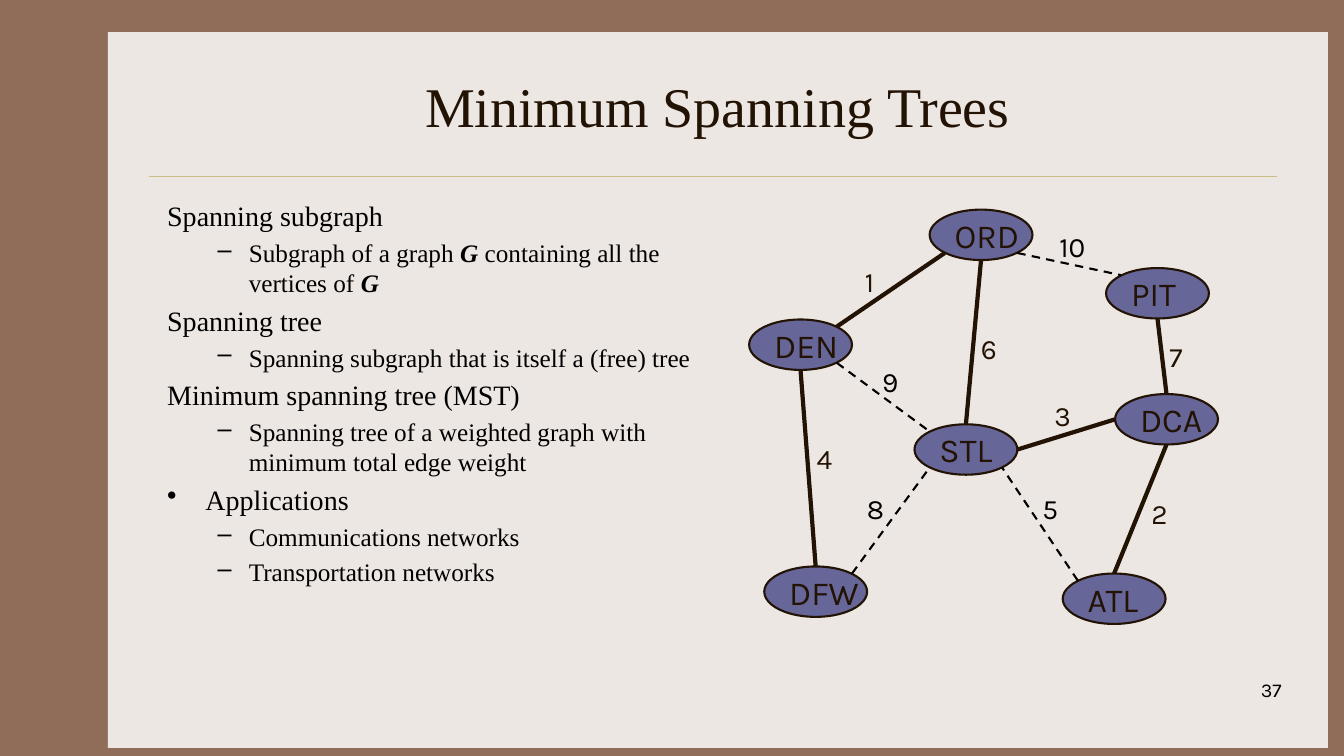
from dataclasses import dataclass
from math import sqrt
from typing import Any

from lxml import etree
from pptx import Presentation
from pptx.dml.color import RGBColor
from pptx.enum.dml import MSO_LINE
from pptx.enum.shapes import MSO_CONNECTOR, MSO_SHAPE
from pptx.enum.text import MSO_ANCHOR, MSO_AUTO_SIZE, PP_ALIGN
from pptx.oxml.ns import qn
from pptx.util import Pt

PX = 9144
STRAIGHT = MSO_CONNECTOR.STRAIGHT
DASH = MSO_LINE.DASH
RECT, OVAL = MSO_SHAPE.RECTANGLE, MSO_SHAPE.OVAL
TOP, MIDDLE = MSO_ANCHOR.TOP, MSO_ANCHOR.MIDDLE
LEFT, CENTER, RIGHT = PP_ALIGN.LEFT, PP_ALIGN.CENTER, PP_ALIGN.RIGHT
FIT, FIXED = MSO_AUTO_SIZE.SHAPE_TO_FIT_TEXT, MSO_AUTO_SIZE.NONE

BROWN = RGBColor(0x90, 0x6D, 0x58)
CREAM = RGBColor(0xED, 0xE7, 0xE3)
GOLD = RGBColor(0xCB, 0xBD, 0x83)
DARK = RGBColor(0x22, 0x13, 0x04)
BLACK = RGBColor(0, 0, 0)
VIOLET = RGBColor(0x66, 0x66, 0x99)
SERIF, SANS = "Times New Roman", "Karla"

NODE_W, NODE_H = 102, 50
DIAG = sqrt(0.5)
SITES = {
    "N": (0, -1), "S": (0, 1), "W": (-1, 0), "E": (1, 0),
    "NW": (-DIAG, -DIAG), "NE": (DIAG, -DIAG),
    "SW": (-DIAG, DIAG), "SE": (DIAG, DIAG),
}


@dataclass
class Node:
    name: str
    left: int
    top: int

    def site(self, side: str) -> tuple[int, int]:
        dx, dy = SITES[side]
        return (round(self.left + NODE_W / 2 * (1 + dx)),
                round(self.top + NODE_H / 2 * (1 + dy)))


@dataclass
class Edge:
    weight: int
    start: str
    out: str
    end: str
    into: str
    left: int
    top: int
    tree: bool = True


@dataclass
class Item:
    text: str
    level: int = 0
    mark: str = ""


NODES = [
    Node("ORD", 922, 208), Node("PIT", 1097, 266), Node("ATL", 1054, 569),
    Node("STL", 907, 421), Node("DEN", 743, 317), Node("DFW", 758, 562),
    Node("DCA", 1106, 391),
]
EDGES = [
    Edge(1, "DEN", "NE", "ORD", "SW", 848, 257),
    Edge(6, "STL", "N", "ORD", "S", 963, 324),
    Edge(3, "STL", "E", "DCA", "W", 1036, 390),
    Edge(7, "DCA", "N", "PIT", "S", 1150, 332),
    Edge(10, "ORD", "SE", "PIT", "NW", 1041, 223, False),
    Edge(4, "DEN", "S", "DFW", "N", 800, 433),
    Edge(2, "DCA", "S", "ATL", "N", 1132, 488),
    Edge(5, "ATL", "NW", "STL", "SE", 1024, 483, False),
    Edge(8, "DFW", "NE", "STL", "SW", 850, 483, False),
    Edge(9, "DEN", "SE", "STL", "NW", 865, 357, False),
]
ITEMS = [
    Item("Spanning subgraph"),
    Item("Subgraph of a graph *G* containing all the vertices of *G*", 1, "–"),
    Item("Spanning tree"),
    Item("Spanning subgraph that is itself a (free) tree", 1, "–"),
    Item("Minimum spanning tree (MST)"),
    Item("Spanning tree of a weighted graph with minimum total edge weight", 1, "–"),
    Item("Applications", 0, "•"),
    Item("Communications networks", 1, "–"),
    Item("Transportation networks", 1, "–"),
]


def box(*sides: int) -> list[int]:
    return [side * PX for side in sides]


def style(target: Any, values: dict[str, Any]) -> None:
    for key, value in values.items():
        setattr(target, key, value)


def write(para: Any, text: str, size: int, face: str, color: RGBColor,
          **extra: Any) -> None:
    run = para.add_run()
    run.text = text
    style(run.font, {"size": Pt(size), "name": face, **extra})
    run.font.color.rgb = color


def label(slide: Any, text: str, area: list[int], size: int, color: RGBColor,
          align: Any, frame: dict[str, Any]) -> None:
    shape = slide.shapes.add_textbox(*area)
    style(shape.text_frame, frame)
    para = shape.text_frame.paragraphs[0]
    para.alignment = align
    write(para, text, size, SANS, color)


def line(slide: Any, start: tuple[int, int], end: tuple[int, int],
         color: RGBColor, width: float, dash: Any = None) -> Any:
    link = slide.shapes.add_connector(STRAIGHT, *box(*start, *end))
    link.line.color.rgb = color
    style(link.line, {"width": Pt(width), "dash_style": dash})
    etree.SubElement(link._element.spPr, qn("a:effectLst"))
    return link


def draw_page(slide: Any) -> None:
    fill = slide.background.fill
    fill.solid()
    fill.fore_color.rgb = BROWN
    panel = slide.shapes.add_shape(RECT, *box(107, 32, 1210, 710))
    panel.shadow.inherit = False
    panel.fill.solid()
    panel.fill.fore_color.rgb = CREAM
    panel.line.fill.background()
    rule = line(slide, (148, 175), (1267, 175), GOLD, 0.25)
    for spot, shape in enumerate((panel, rule), 2):
        slide.shapes._spTree.insert(spot, shape._element)


def draw_title(slide: Any) -> None:
    title = slide.shapes.title
    style(title, dict(zip(("left", "top", "width", "height"),
                          box(156, 42, 1111, 125))))
    style(title.text_frame, {"vertical_anchor": MIDDLE, "word_wrap": True,
                             "auto_size": FIXED})
    para = title.text_frame.paragraphs[0]
    para.alignment = CENTER
    write(para, "Minimum Spanning Trees", 40, SERIF, DARK)


def draw_list(slide: Any) -> None:
    frame = slide.shapes.add_textbox(*box(156, 192, 544, 450)).text_frame
    style(frame, {"word_wrap": True, "vertical_anchor": TOP, "auto_size": FIXED})
    for index, item in enumerate(ITEMS):
        para = frame.add_paragraph() if index else frame.paragraphs[0]
        size = 18 if item.level else 20
        indent, hang = (81, 31) if item.level else (38, 38)
        para.level = item.level
        props = para._p.get_or_add_pPr()
        props.set("marL", str(indent * PX))
        props.set("indent", str(-hang * PX))
        if item.mark:
            etree.SubElement(props, qn("a:buFontTx"))
            etree.SubElement(props, qn("a:buChar"), char=item.mark)
        if index:
            para.space_before = Pt(size * 0.2)
        for part, text in enumerate(item.text.split("*")):
            if text:
                strong = part % 2 == 1
                write(para, text, size, SERIF, BLACK, bold=strong, italic=strong)


def draw_node(slide: Any, node: Node) -> None:
    oval = slide.shapes.add_shape(OVAL, *box(node.left, node.top, NODE_W, NODE_H))
    oval.shadow.inherit = False
    oval.fill.solid()
    oval.fill.fore_color.rgb = VIOLET
    oval.line.color.rgb = DARK
    oval.line.width = Pt(1.5)
    style(oval.text_frame, {"word_wrap": False, "vertical_anchor": MIDDLE})
    para = oval.text_frame.paragraphs[0]
    para.alignment = LEFT
    write(para, node.name, 24, SANS, DARK)


def draw_edge(slide: Any, edge: Edge, nodes: dict[str, Node]) -> None:
    color, width, dash = (DARK, 3, None) if edge.tree else (BLACK, 1.5, DASH)
    line(slide, nodes[edge.start].site(edge.out),
         nodes[edge.end].site(edge.into), color, width, dash)
    text = str(edge.weight)
    label(slide, text, box(edge.left, edge.top, 20 + 15 * len(text), 43), 20,
          color, LEFT, {"word_wrap": False, "auto_size": FIT})


def main() -> None:
    deck = Presentation()
    style(deck, {"slide_width": 1333 * PX, "slide_height": 750 * PX})
    slide = deck.slides.add_slide(deck.slide_layouts[5])
    draw_page(slide)
    draw_title(slide)
    draw_list(slide)
    label(slide, "37", box(1003, 668, 278, 50), 14, BLACK, RIGHT,
          {"word_wrap": True})
    for node in NODES:
        draw_node(slide, node)
    nodes = {node.name: node for node in NODES}
    for edge in EDGES:
        draw_edge(slide, edge, nodes)
    deck.save("out.pptx")


if __name__ == "__main__":
    main()
